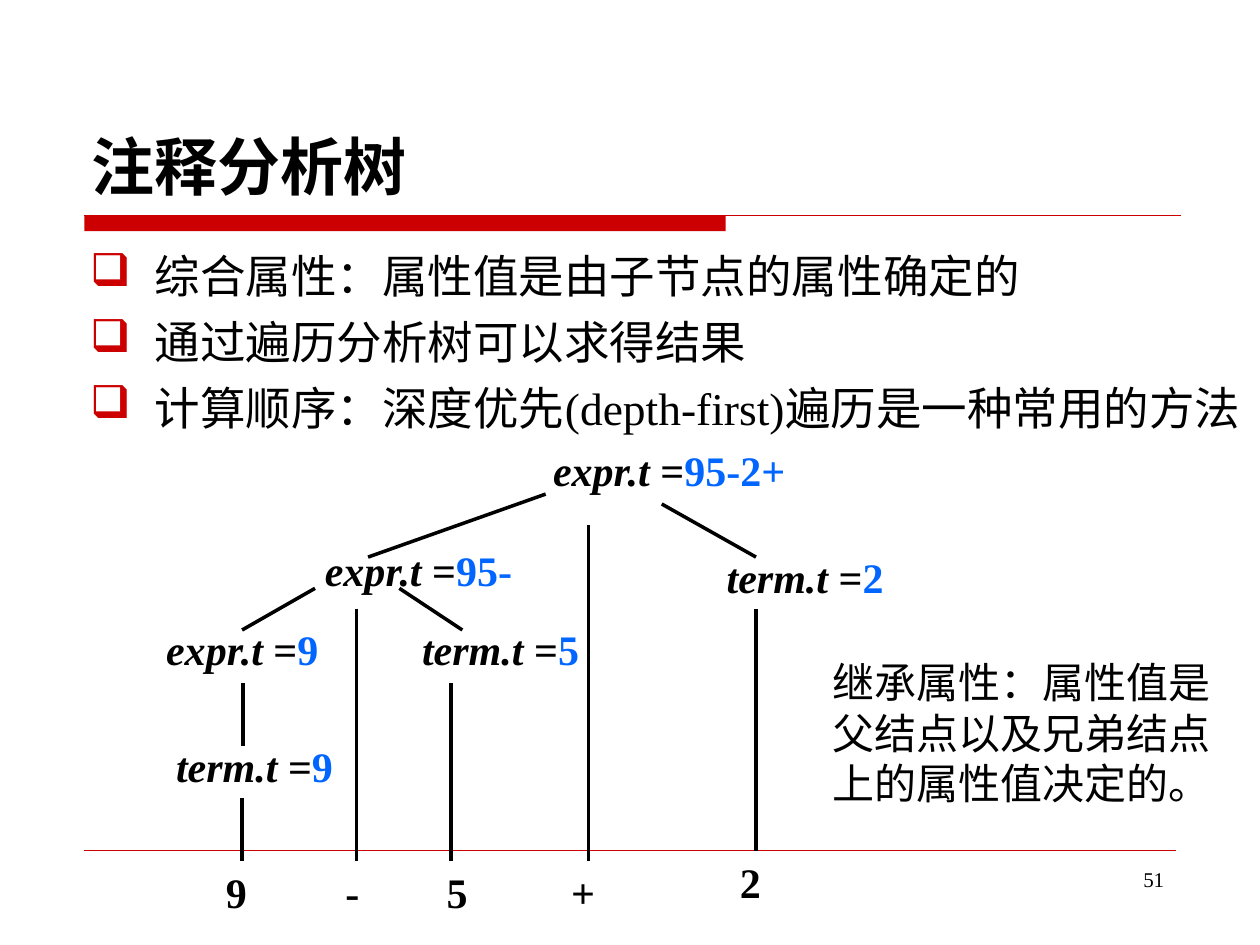
import pptx
import pptx.dml.color
import pptx.enum.shapes
import pptx.enum.text
import pptx.oxml.ns
import pptx.util
from lxml import etree

Cm = pptx.util.Cm
Pt = pptx.util.Pt
ALIGN = pptx.enum.text.PP_ALIGN
ANCHOR = pptx.enum.text.MSO_ANCHOR
qn = pptx.oxml.ns.qn

FONT = "Times New Roman"
BLACK, RED, BLUE = "000000", "CC0000", "0066FF"
NODE_HEIGHT, LEAF_WIDTH, LEAF_TOP = 1.27, 1.91, 17.35

TITLE = "注释分析树"
BULLETS = [
    "综合属性：属性值是由子节点的属性确定的",
    "通过遍历分析树可以求得结果",
    "计算顺序：深度优先(depth-first)遍历是一种常用的方法",
]
SIDE_NOTE = "继承属性：属性值是父结点以及兄弟结点上的属性值决定的。"
PAGE_NUMBER = "51"

NODES = [
    ("expr.t", "95-2+", 10.9, 8.84, 5.89),
    ("expr.t", "95-", 6.3, 10.85, 5.56),
    ("term.t", "2", 14.4, 11, 3.81),
    ("expr.t", "9", 3.1, 12.45, 3.81),
    ("term.t", "5", 8.26, 12.45, 3.81),
    ("term.t", "9", 3.3, 14.81, 3.81),
]
LEAVES = [
    ("9", 3.81, LEAF_TOP),
    ("-", 6.15, LEAF_TOP),
    ("5", 8.26, LEAF_TOP),
    ("+", 10.8, LEAF_TOP),
    ("2", 14.17, 17.15),
]
BRANCHES = [
    (11, 9.96, 7.42, 11.23),
    (13.34, 10.16, 15.24, 11.23),
    (6.35, 11.86, 4.88, 12.7),
    (8.05, 11.86, 9.32, 12.7),
]
STEMS = [
    (4.9, 13.77, 15.04),
    (4.88, 16.08, LEAF_TOP),
    (7.19, 12.27, LEAF_TOP),
    (9.09, 13.77, LEAF_TOP),
    (11.86, 10.59, LEAF_TOP),
    (15.24, 12.27, 17.15),
]


def color(value):
    return pptx.dml.color.RGBColor.from_string(value)


def add_bullet(paragraph):
    properties = paragraph._p.get_or_add_pPr()
    properties.set("marL", str(Cm(1.3)))
    properties.set("indent", str(-Cm(1.3)))
    bullet_color = etree.SubElement(properties, qn("a:buClr"))
    etree.SubElement(bullet_color, qn("a:srgbClr")).set("val", RED)
    etree.SubElement(properties, qn("a:buChar")).set("char", "❑")


def add_text(slide, paragraphs, left, top, width, height, size=24, bold=False,
             align=ALIGN.LEFT, anchor=ANCHOR.TOP, bullets=False, space_before=0):
    box = slide.shapes.add_textbox(Cm(left), Cm(top), Cm(width), Cm(height))
    frame = box.text_frame
    frame.word_wrap = True
    frame.vertical_anchor = anchor
    for index, runs in enumerate(paragraphs):
        paragraph = frame.paragraphs[0] if index == 0 else frame.add_paragraph()
        if bullets:
            add_bullet(paragraph)
        paragraph.alignment = align
        if index:
            paragraph.space_before = Pt(space_before)
        for text, italic, run_color in runs:
            run = paragraph.add_run()
            run.text = text
            run.font.name = FONT
            run.font.size = Pt(size)
            run.font.bold = bold
            run.font.italic = italic
            run.font.color.rgb = color(run_color)


def plain(text):
    return [(text, False, BLACK)]


def add_line(slide, left, top, right, bottom, line_color=BLACK, width=2):
    line = slide.shapes.add_connector(
        pptx.enum.shapes.MSO_CONNECTOR.STRAIGHT, Cm(left), Cm(top), Cm(right), Cm(bottom))
    line.line.color.rgb = color(line_color)
    line.line.width = Pt(width)
    etree.SubElement(line._element.spPr, qn("a:effectLst"))


def add_title_bar(slide):
    bar = slide.shapes.add_shape(
        pptx.enum.shapes.MSO_SHAPE.RECTANGLE, Cm(1.7), Cm(4.34), Cm(12.93), Cm(0.32))
    bar.shadow.inherit = False
    bar.fill.solid()
    bar.fill.fore_color.rgb = color(RED)
    bar.line.fill.background()
    add_line(slide, 1.7, 4.34, 23.8, 4.34, RED, 0.75)


def main():
    presentation = pptx.Presentation()
    presentation.slide_width = Cm(25.4)
    presentation.slide_height = Cm(19.05)
    slide = presentation.slides.add_slide(presentation.slide_layouts[6])

    add_title_bar(slide)
    add_line(slide, 1.7, 17.15, 23.7, 17.15, RED, 0.25)
    add_text(slide, [plain(PAGE_NUMBER)], 18.21, 17.35, 5.51, 1.32, size=12, align=ALIGN.RIGHT)
    add_text(slide, [plain(TITLE)], 1.6, 0.84, 22.23, 3.39, size=36, bold=True,
             anchor=ANCHOR.BOTTOM)
    add_text(slide, [plain(text) for text in BULLETS], 1.57, 4.88, 23.83, 11.56, size=26,
             bullets=True, space_before=6.5)

    for symbol, value, left, top, width in NODES:
        runs = [(symbol, True, BLACK), (" =", False, BLACK), (value, False, BLUE)]
        add_text(slide, [runs], left, top, width, NODE_HEIGHT, bold=True)
    for branch in BRANCHES:
        add_line(slide, *branch)
    for x, top, bottom in STEMS:
        add_line(slide, x, top, x, bottom)
    for token, left, top in LEAVES:
        add_text(slide, [plain(token)], left, top, LEAF_WIDTH, NODE_HEIGHT, bold=True,
                 align=ALIGN.CENTER)

    add_text(slide, [plain(SIDE_NOTE)], 16.51, 13.11, 8.18, 3.3, align=ALIGN.CENTER,
             anchor=ANCHOR.BOTTOM)
    presentation.save("out.pptx")


if __name__ == "__main__":
    main()
